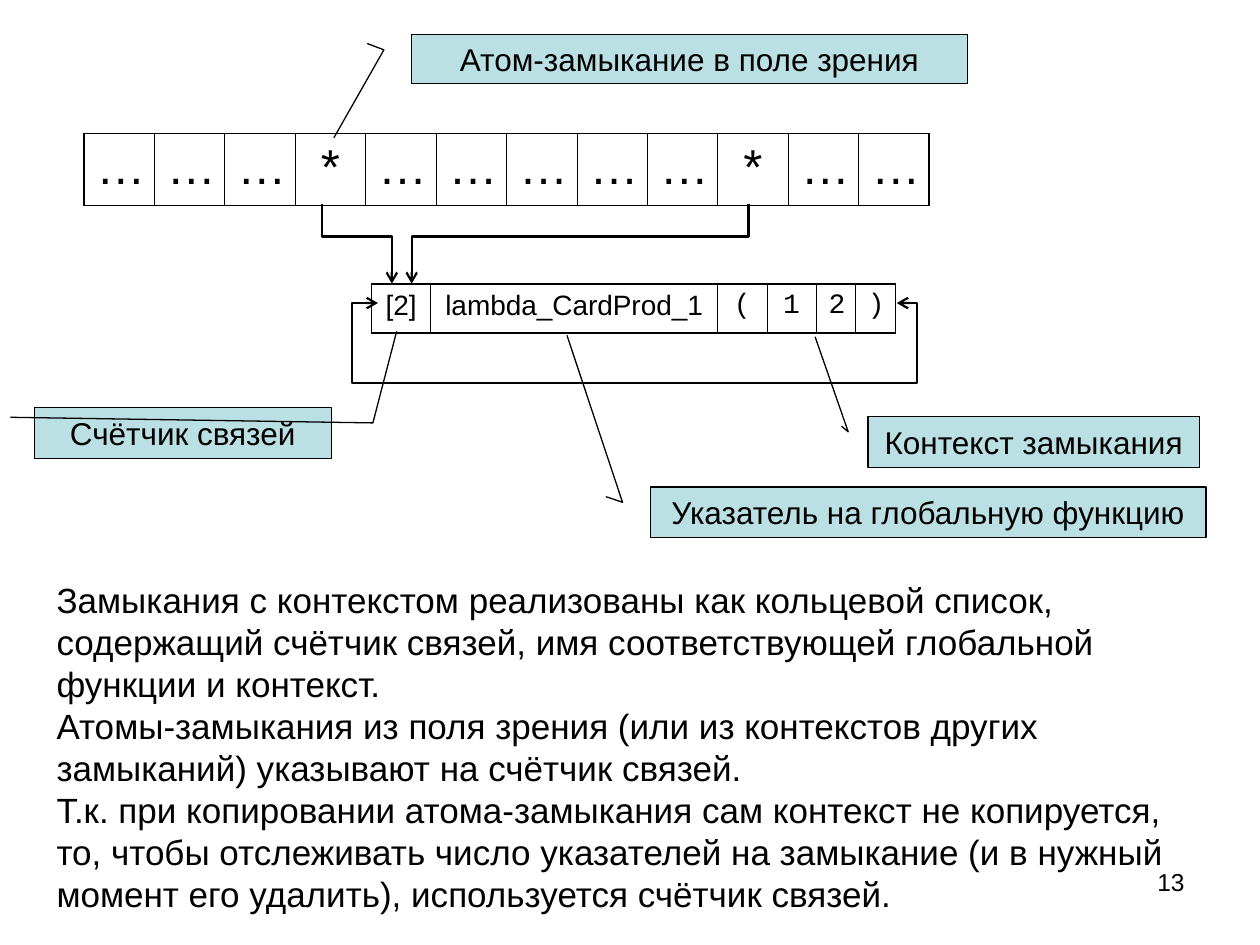
"""Build the slide on closures stored as a ring list with a link counter."""
from lxml.etree import SubElement
from pptx import Presentation
from pptx.dml.color import RGBColor
from pptx.enum.shapes import MSO_SHAPE
from pptx.enum.text import MSO_ANCHOR, PP_ALIGN as Align
from pptx.oxml import parse_xml
from pptx.oxml.ns import nsdecls, qn
from pptx.util import Cm, Pt

BLACK = RGBColor(0, 0, 0)
PALE_TEAL = RGBColor(0xBB, 0xE0, 0xE3)
SANS, MONO = "Arial", "Courier New"
THICK, THIN = 1.08, 0.45

VIEW_FIELD = {
    "cells": [(mark, SANS, Align.LEFT if i < 3 else Align.CENTER)
              for i, mark in enumerate("………*…………" + "…*……")],
    "widths": [1.42] * 12, "at": (1.69, 2.69), "height": 1.45, "size": 28, "before": 7,
}
CLOSURE = {
    "cells": [("[2]", SANS, Align.CENTER), ("lambda_CardProd_1", SANS, Align.CENTER)]
    + [(mark, MONO, Align.CENTER) for mark in "(12)"],
    "widths": [1.19, 5.79, 0.99, 0.99, 0.79, 0.81],
    "at": (7.49, 5.72), "height": 0.99, "size": 16, "before": 4,
}
VIEW_FIELD["cells"] = VIEW_FIELD["cells"][:12]

EXPLANATION = [
    "Замыкания с контекстом реализованы как кольцевой список, содержащий счётчик связей, "
    "имя соответствующей глобальной функции и контекст.",
    "Атомы-замыкания из поля зрения (или из контекстов других замыканий) указывают на "
    "счётчик связей.",
    "Т.к. при копировании атома-замыкания сам контекст не копируется, то, чтобы отслеживать "
    "число указателей на замыкание (и в нужный момент его удалить), используется счётчик связей.",
]

CALLOUTS = [
    ("Атом-замыкание в поле зрения", (8.3, 0.69, 11.2, 0.99), (0.32, -0.05, 2.11, -0.14)),
    ("Счётчик связей", (0.69, 8.22, 5.99, 1.02), (0.3, 1.14, -1.51, 1.22)),
    ("Указатель на глобальную функцию", (13.11, 9.82, 11.2, 1.02), (0.3, -0.05, -3, -0.15)),
    ("Контекст замыкания", (17.5, 8.4, 6.68, 1.02), (0.3, -0.06, -1.58, -0.16)),
]
CALLOUT_START = (0.19, -0.08)

RING_LINK = [(18.08, 6.11), (18.49, 6.11), (18.49, 7.72), (7.1, 7.72), (7.1, 6.11), (7.62, 6.11)]
ATOM_LINKS = [(6.5, 7.9), (15.09, 8.3)]
LINK_TOP, LINK_BEND, LINK_END = 4.12, 4.77, 5.72


def add_text(paragraph, lines, size, align=Align.LEFT, font=SANS):
    paragraph.alignment = align
    for i, line in enumerate(lines):
        if i:
            paragraph.add_line_break()
        run = paragraph.add_run()
        run.text = line
        run.font.size, run.font.name = Pt(size), font
        run.font.color.rgb = BLACK


def add_text_box(slide, box, lines, size, align=Align.LEFT):
    frame = slide.shapes.add_textbox(*map(Cm, box)).text_frame
    frame.word_wrap = True
    add_text(frame.paragraphs[0], lines, size, align)


def add_border(cell, sides):
    properties = cell._tc.get_or_add_tcPr()
    for i, (side, width) in enumerate(sides):
        properties.insert(i, parse_xml(
            f'<a:{side} {nsdecls("a")} w="{Pt(width)}"><a:solidFill>'
            f'<a:srgbClr val="{BLACK}"/></a:solidFill></a:{side}>'))


def add_memory_row(slide, row):
    widths, cells = row["widths"], row["cells"]
    table = slide.shapes.add_table(
        1, len(cells), *map(Cm, (*row["at"], sum(widths), row["height"]))).table
    table.first_row = table.horz_banding = False
    last = len(cells) - 1
    for i, (mark, font, align) in enumerate(cells):
        table.columns[i].width = Cm(widths[i])
        cell = table.cell(0, i)
        cell.fill.background()
        add_border(cell, [("lnL", THIN if i else THICK), ("lnR", THIN if i < last else THICK),
                          ("lnT", THICK), ("lnB", THICK)])
        paragraph = cell.text_frame.paragraphs[0]
        paragraph.space_before = Pt(row["before"])
        add_text(paragraph, [mark], row["size"], align, font)


def add_link(slide, points, ends=("tailEnd",)):
    start, *rest = [(Cm(x), Cm(y)) for x, y in points]
    builder = slide.shapes.build_freeform(*start)
    builder.add_line_segments(rest, close=False)
    link = builder.convert_to_shape()
    link.shadow.inherit = False
    link.fill.background()
    link.line.color.rgb, link.line.width = BLACK, Pt(1.25)
    outline = link.element.spPr.find(qn("a:ln"))
    for end in ends:
        SubElement(outline, qn(f"a:{end}"), type="arrow")


def add_callout(slide, label, box, bend):
    callout = slide.shapes.add_shape(MSO_SHAPE.LINE_CALLOUT_2, *map(Cm, box))
    for i, value in enumerate(CALLOUT_START + bend):
        callout.adjustments[i] = value
    callout.shadow.inherit = False
    callout.fill.solid()
    callout.fill.fore_color.rgb = PALE_TEAL
    callout.line.color.rgb, callout.line.width = BLACK, Pt(0.75)
    frame = callout.text_frame
    frame.word_wrap, frame.vertical_anchor = True, MSO_ANCHOR.TOP
    add_text(frame.paragraphs[0], [label], 18, Align.CENTER)


def main():
    deck = Presentation()
    deck.slide_width, deck.slide_height = Cm(25.4), Cm(19.05)
    slide = deck.slides.add_slide(deck.slide_layouts[6])
    add_text_box(slide, (18.21, 17.35, 5.92, 1.32), ["13"], 14, Align.RIGHT)
    add_memory_row(slide, VIEW_FIELD)
    add_text_box(slide, (0.89, 11.53, 23.6, 7.04), EXPLANATION, 20)
    add_memory_row(slide, CLOSURE)
    add_link(slide, RING_LINK, ("headEnd", "tailEnd"))
    for atom, counter in ATOM_LINKS:
        add_link(slide, [(atom, LINK_TOP), (atom, LINK_BEND),
                         (counter, LINK_BEND), (counter, LINK_END)])
    for callout in CALLOUTS:
        add_callout(slide, *callout)
    deck.save("out.pptx")


if __name__ == "__main__":
    main()
